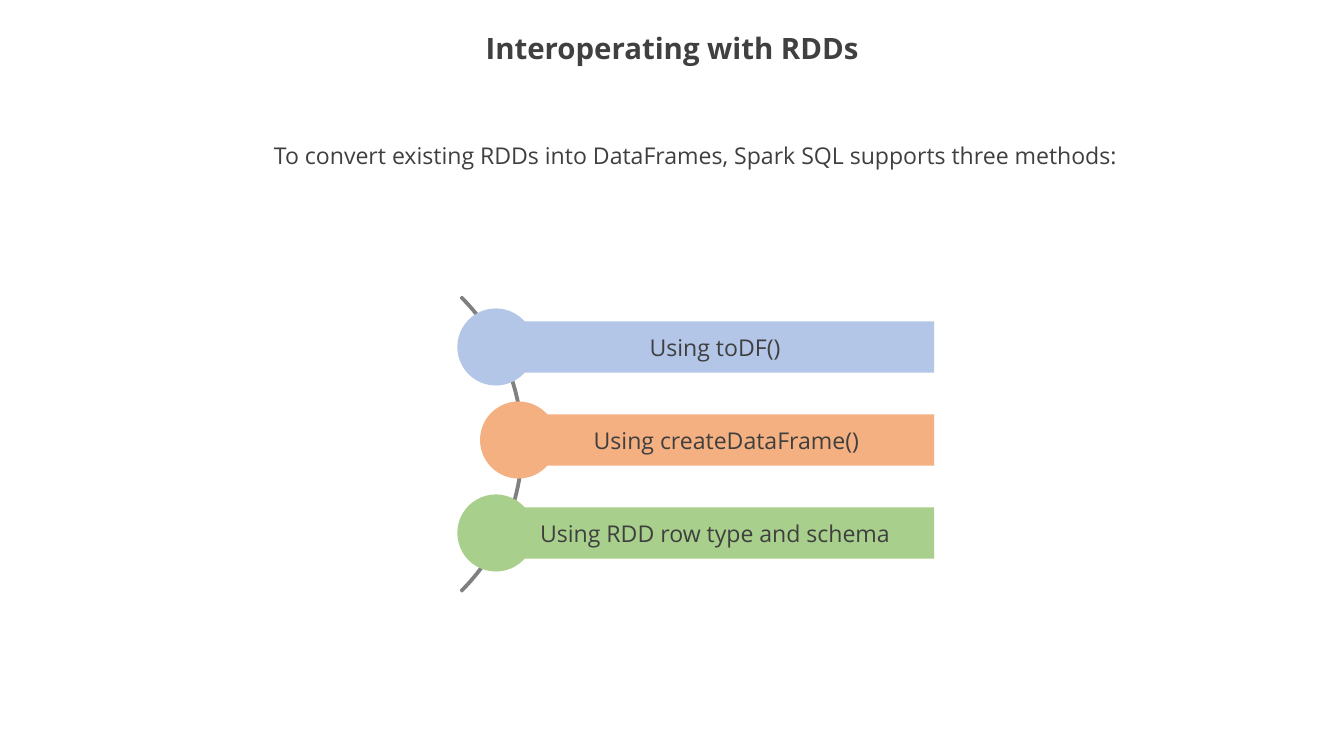
from pptx import Presentation
from pptx.dml.color import RGBColor
from pptx.enum.shapes import MSO_SHAPE
from pptx.enum.text import MSO_ANCHOR, PP_ALIGN
from pptx.util import Inches, Pt

WHITE = RGBColor(0xFF, 0xFF, 0xFF)
TITLE_GRAY = RGBColor(0x40, 0x40, 0x40)
TEXT_GRAY = RGBColor(0x3F, 0x3F, 0x3F)
ARC_GRAY = RGBColor(0x80, 0x80, 0x80)
BLUE = RGBColor(0xB3, 0xC6, 0xE7)
ORANGE = RGBColor(0xF4, 0xB0, 0x81)
GREEN = RGBColor(0xA8, 0xD0, 0x8C)

FONT = "Open Sans"
METHODS = [
    ("Using toDF()", BLUE, 0),
    ("Using createDataFrame()", ORANGE, 0.3),
    ("Using RDD row type and schema", GREEN, 0),
]


def write_text(shape, text, size, color, bold=False):
    frame = shape.text_frame
    frame.word_wrap = True
    frame.vertical_anchor = MSO_ANCHOR.MIDDLE
    paragraph = frame.paragraphs[0]
    paragraph.alignment = PP_ALIGN.CENTER
    run = paragraph.add_run()
    run.text = text
    run.font.name = FONT
    run.font.size = Pt(size)
    run.font.bold = bold
    run.font.color.rgb = color
    return paragraph


def add_filled_shape(slide, kind, left, top, width, height, color):
    shape = slide.shapes.add_shape(
        kind, Inches(left), Inches(top), Inches(width), Inches(height)
    )
    shape.shadow.inherit = False
    shape.fill.solid()
    shape.fill.fore_color.rgb = color
    shape.line.fill.background()
    return shape


def add_title(slide, left, top, width, height):
    title = slide.shapes.add_textbox(
        Inches(left), Inches(top), Inches(width), Inches(height)
    )
    paragraph = write_text(
        title, "Interoperating with RDDs", 28, TITLE_GRAY, bold=True
    )
    paragraph.line_spacing = 0.9


def add_introduction(slide, left, top, width, height):
    panel = add_filled_shape(
        slide, MSO_SHAPE.ROUNDED_RECTANGLE, left, top, width, height, WHITE
    )
    write_text(
        panel,
        "To convert existing RDDs into DataFrames, Spark SQL supports three methods:",
        22,
        TEXT_GRAY,
    )


def add_arc(slide, left, top, diameter):
    arc = slide.shapes.add_shape(
        MSO_SHAPE.BLOCK_ARC,
        Inches(left), Inches(top), Inches(diameter), Inches(diameter),
    )
    arc.shadow.inherit = False
    arc.adjustments[0] = 189
    arc.adjustments[1] = 27
    arc.adjustments[2] = 0.004
    arc.fill.background()
    arc.line.color.rgb = ARC_GRAY
    arc.line.width = Pt(2)


def add_methods(slide, left, top, width, height):
    bar_height = 0.68
    diameter = 1.02
    pitch = (height - diameter) / (len(METHODS) - 1)
    right = left + width
    for index, (text, color, indent) in enumerate(METHODS):
        circle_left = left + indent
        circle_top = top + index * pitch
        bar_left = circle_left + diameter / 2
        bar_top = circle_top + (diameter - bar_height) / 2
        bar = add_filled_shape(
            slide, MSO_SHAPE.RECTANGLE,
            bar_left, bar_top, right - bar_left, bar_height, color,
        )
        write_text(bar, text, 22, TEXT_GRAY)
        add_filled_shape(
            slide, MSO_SHAPE.OVAL,
            circle_left, circle_top, diameter, diameter, color,
        )


def main():
    presentation = Presentation()
    presentation.slide_width = Inches(17.78)
    presentation.slide_height = Inches(10)
    slide = presentation.slides.add_slide(presentation.slide_layouts[6])
    add_title(slide, -0.01, 0.29, 17.8, 0.75)
    add_introduction(slide, 3.18, 1.56, 12.04, 0.98)
    add_arc(slide, 1.41, 3.12, 5.51)
    add_methods(slide, 6.05, 4.08, 6.31, 3.48)
    presentation.save("out.pptx")


if __name__ == "__main__":
    main()
